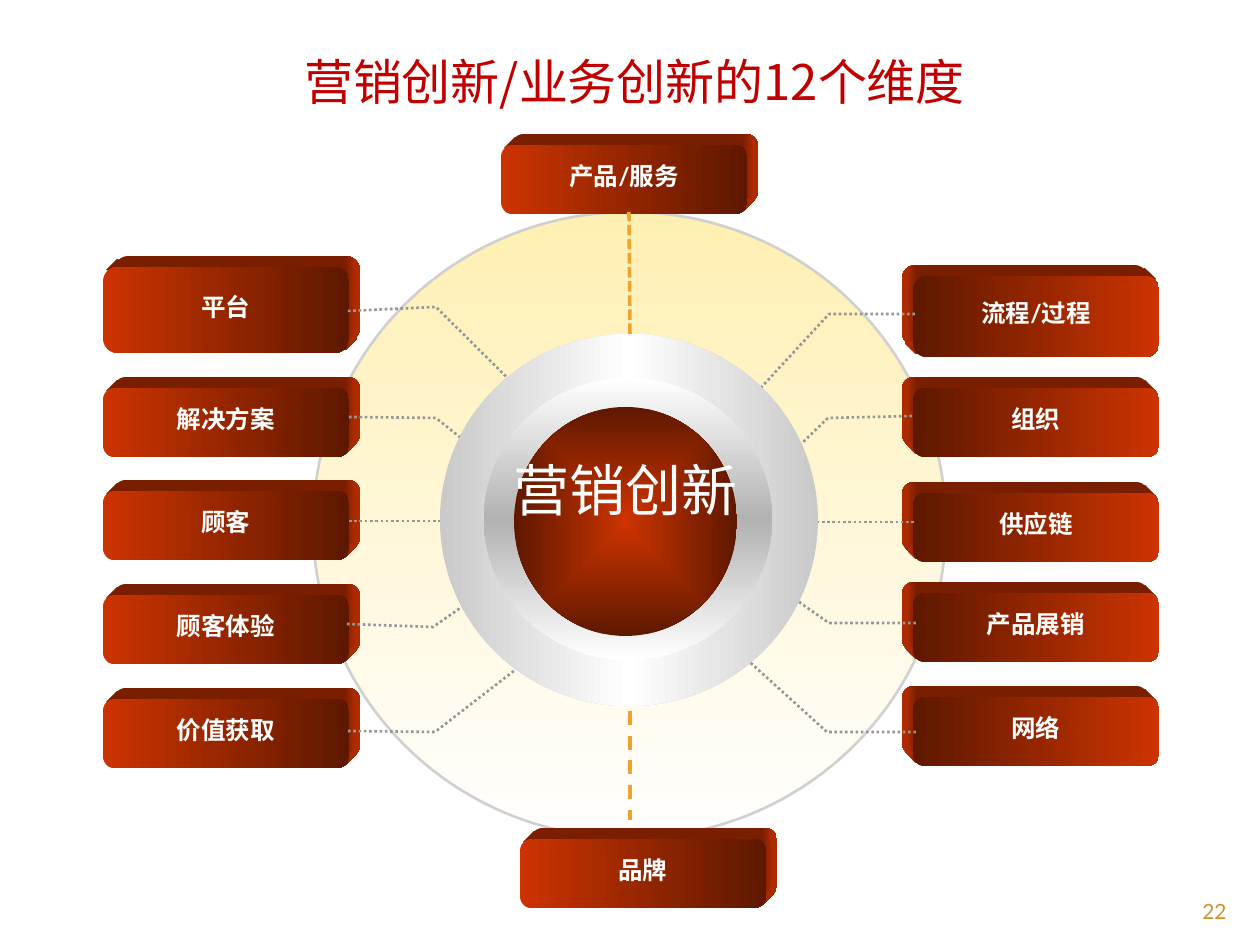
from dataclasses import dataclass

from lxml import etree
from pptx import Presentation
from pptx.dml.color import RGBColor
from pptx.enum.dml import MSO_LINE
from pptx.enum.shapes import MSO_CONNECTOR, MSO_SHAPE
from pptx.enum.text import MSO_ANCHOR, PP_ALIGN
from pptx.oxml import parse_xml
from pptx.oxml.ns import qn
from pptx.util import Pt

OVAL, DONUT, ROUND = MSO_SHAPE.OVAL, MSO_SHAPE.DONUT, MSO_SHAPE.ROUNDED_RECTANGLE
STRAIGHT = MSO_CONNECTOR.STRAIGHT
DOT, SHORT, DASH = MSO_LINE.ROUND_DOT, MSO_LINE.SQUARE_DOT, MSO_LINE.DASH
MIDDLE, TOP = MSO_ANCHOR.MIDDLE, MSO_ANCHOR.TOP
CENTER, RIGHT = PP_ALIGN.CENTER, PP_ALIGN.RIGHT
NS = "http://schemas.openxmlformats.org/drawingml/2006/main"
SCALE = 914400 / 126


@dataclass(frozen=True)
class Theme:
    red: str = "CC3300"
    dark: str = "5E1800"
    roof: str = "7A1E00"
    side: str = "AE2B00"
    gold: str = "FFCC00"
    white: str = "FFFFFF"
    rim: str = "D0D0D0"
    light: str = "C9C9C9"
    steel: str = "B2B2B2"
    gray: str = "969696"
    amber: str = "F0A22E"
    title: str = "C00000"
    number: str = "D48F29"
    latin: str = "Lato"
    han: str = "Noto Sans CJK SC"
    head: str = "Noto Sans CJK JP"
    big: int = 32
    large: int = 28
    label: int = 14
    small: int = 12


T = Theme()
BOX_W, BOX_H, DEPTH, BEND = 246, 69, 11, 3
LEFT_X, RIGHT_X = 103, 913

# Label, top and height of each box
LEFT = [("平台", 267, 86), ("解决方案", 388, BOX_H), ("顾客", 491, BOX_H),
        ("顾客体验", 595, BOX_H), ("价值获取", 699, BOX_H)]
RIGHT_SIDE = [("流程/过程", 276, 81), ("组织", 388, BOX_H), ("供应链", 493, BOX_H),
              ("产品展销", 593, BOX_H), ("网络", 697, BOX_H)]

# Bent links, from box to ring
LINKS = [
    [(349, 417), (436, 418), (517, 483)],
    [(348, 731), (435, 732), (559, 636)],
    [(347, 624), (433, 627), (515, 570)],
    [(348, 311), (436, 307), (552, 422)],
    [(915, 314), (829, 314), (731, 420)],
    [(912, 416), (828, 418), (766, 478)],
    [(916, 623), (829, 623), (765, 578)],
    [(916, 732), (827, 732), (721, 636)],
]


def px(n):
    return round(n * SCALE)


def rgb(code):
    return RGBColor.from_string(code)


def shade(shape, stops, angle=0, alpha=100, focus=False):
    """Fill with a gradient; stops are (percent, colour) pairs."""
    marks = "".join(
        f'<a:gs pos="{pos * 1000}"><a:srgbClr val="{code}">'
        f'<a:alpha val="{alpha * 1000}"/></a:srgbClr></a:gs>' for pos, code in stops)
    way = f'<a:lin ang="{angle * 60000}" scaled="0"/>'
    if focus:
        way = ('<a:path path="shape"><a:fillToRect l="50000" t="50000" '
               'r="50000" b="50000"/></a:path>')
    grad = parse_xml(f'<a:gradFill xmlns:a="{NS}" rotWithShape="1">'
                     f'<a:gsLst>{marks}</a:gsLst>{way}</a:gradFill>')
    shape.fill.solid()
    old = shape._element.spPr.find(qn("a:solidFill"))
    old.getparent().replace(old, grad)


def write(shape, text, size, color, font=T.latin, han=T.han, bold=False,
          align=CENTER, anchor=MIDDLE, space=1.0, wrap=False):
    frame = shape.text_frame
    frame.word_wrap = wrap
    frame.vertical_anchor = anchor
    para = frame.paragraphs[0]
    run = para.add_run()
    run.text = text
    para.alignment = align
    para.line_spacing = space
    para.font.size = Pt(size)
    para.font.bold = bold
    para.font.name = font
    para.font.color.rgb = rgb(color)
    # East Asian typeface
    props = run._r.get_or_add_rPr()
    etree.SubElement(props, qn("a:ea")).set("typeface", han)
    return frame


def preset(slide, kind, x, y, w, h, adj=None):
    shape = slide.shapes.add_shape(kind, px(x), px(y), px(w), px(h))
    shape.shadow.inherit = False
    shape.line.fill.background()
    if adj is not None:
        shape.adjustments[0] = adj
    return shape


def trace(slide, points, close):
    build = slide.shapes.build_freeform(*points[0], scale=SCALE)
    build.add_line_segments(points[1:], close=close)
    shape = build.convert_to_shape()
    shape.shadow.inherit = False
    return shape


def stroke(line, color, width, dash):
    line.color.rgb = rgb(color)
    line.width = Pt(width)
    line.dash_style = dash


def bend(slide, points):
    shape = trace(slide, points, False)
    shape.fill.background()
    stroke(shape.line, T.gray, 1.5, DOT)


def link(slide, start, end, color=T.gray, width=1.5, dash=DOT):
    line = slide.shapes.add_connector(STRAIGHT, *map(px, start + end))
    stroke(line.line, color, width, dash)
    etree.SubElement(line._element.spPr, qn("a:effectLst"))


def block(slide, text, x, y, h=BOX_H, flip=False):
    """Labelled box with depth towards the upper right, or upper left if flipped."""
    step = -DEPTH if flip else DEPTH
    ends = [(x + BEND, y + BEND), (x + BOX_W - BEND, y + h - BEND)]
    if flip:
        ends = [(x + BOX_W - BEND, y + BEND), (x + BEND, y + h - BEND)]
    (ax, ay), (bx, by) = ends
    back = preset(slide, ROUND, x + step, y - DEPTH, BOX_W, h, 0.167)
    hull = trace(slide, [(ax, ay), (ax + step, ay - DEPTH),
                         (bx + step, by - DEPTH), (bx, by)], True)
    hull.line.fill.background()
    for part in (back, hull):
        shade(part, [(0, T.roof), (94, T.roof), (98, T.side), (100, T.side)],
              180 if flip else 0)
    face = preset(slide, ROUND, x, y, BOX_W, h, 0.167)
    ends = (T.dark, T.red) if flip else (T.red, T.dark)
    shade(face, list(zip((0, 100), ends)))
    write(face, text, T.label, T.white, bold=True, space=0.7)


def label(slide, x, y, w, h, text, size, color, **style):
    box = slide.shapes.add_textbox(px(x), px(y), px(w), px(h))
    write(box, text, size, color, wrap=True, **style)


def hub(slide):
    """Two metal rings around the core."""
    outer = preset(slide, DONUT, 440, 334, 378, 372, 0.25)
    shade(outer, [(0, T.light), (50, T.white), (100, T.light)])
    inner = preset(slide, DONUT, 484, 378, 288, 282, 0.21)
    shade(inner, [(0, T.white), (50, T.steel), (100, T.white)], 90)
    core = preset(slide, OVAL, 514, 407, 223, 229)
    shade(core, [(0, T.red), (100, T.dark)], focus=True)
    frame = write(core, "营销创新", T.big, T.white, font=T.han, space=0.8)
    frame.margin_top = 0
    frame.margin_bottom = px(52)


def main():
    deck = Presentation()
    deck.slide_width, deck.slide_height = px(1260), px(945)
    slide = deck.slides.add_slide(deck.slide_layouts[6])

    # Page number and backdrop
    label(slide, 1134, 892, 105, 34, "22", T.small, T.number, align=RIGHT, anchor=TOP)
    disc = preset(slide, OVAL, 313, 212, 633, 626)
    shade(disc, [(0, T.gold), (100, T.white)], 90, alpha=30)
    stroke(disc.line, T.rim, 1.5, MSO_LINE.SOLID)

    # Side boxes
    for text, y, h in LEFT:
        block(slide, text, LEFT_X, y, h)
    for text, y, h in RIGHT_SIDE:
        block(slide, text, RIGHT_X, y, h, flip=True)

    # Links and hub
    for points in LINKS:
        bend(slide, points)
    link(slide, (349, 521), (509, 521))
    link(slide, (914, 522), (771, 522))
    hub(slide)

    # Title, then the top and bottom boxes
    label(slide, 213, 45, 843, 72, "营销创新/业务创新的12个维度", T.large, T.title,
          font=T.head, han=T.head)
    block(slide, "产品/服务", 501, 145)
    block(slide, "品牌", 520, 839)
    link(slide, (630, 334), (629, 212), T.amber, 2, SHORT)
    link(slide, (630, 711), (630, 820), T.amber, 2, DASH)

    deck.save("out.pptx")


if __name__ == "__main__":
    main()
